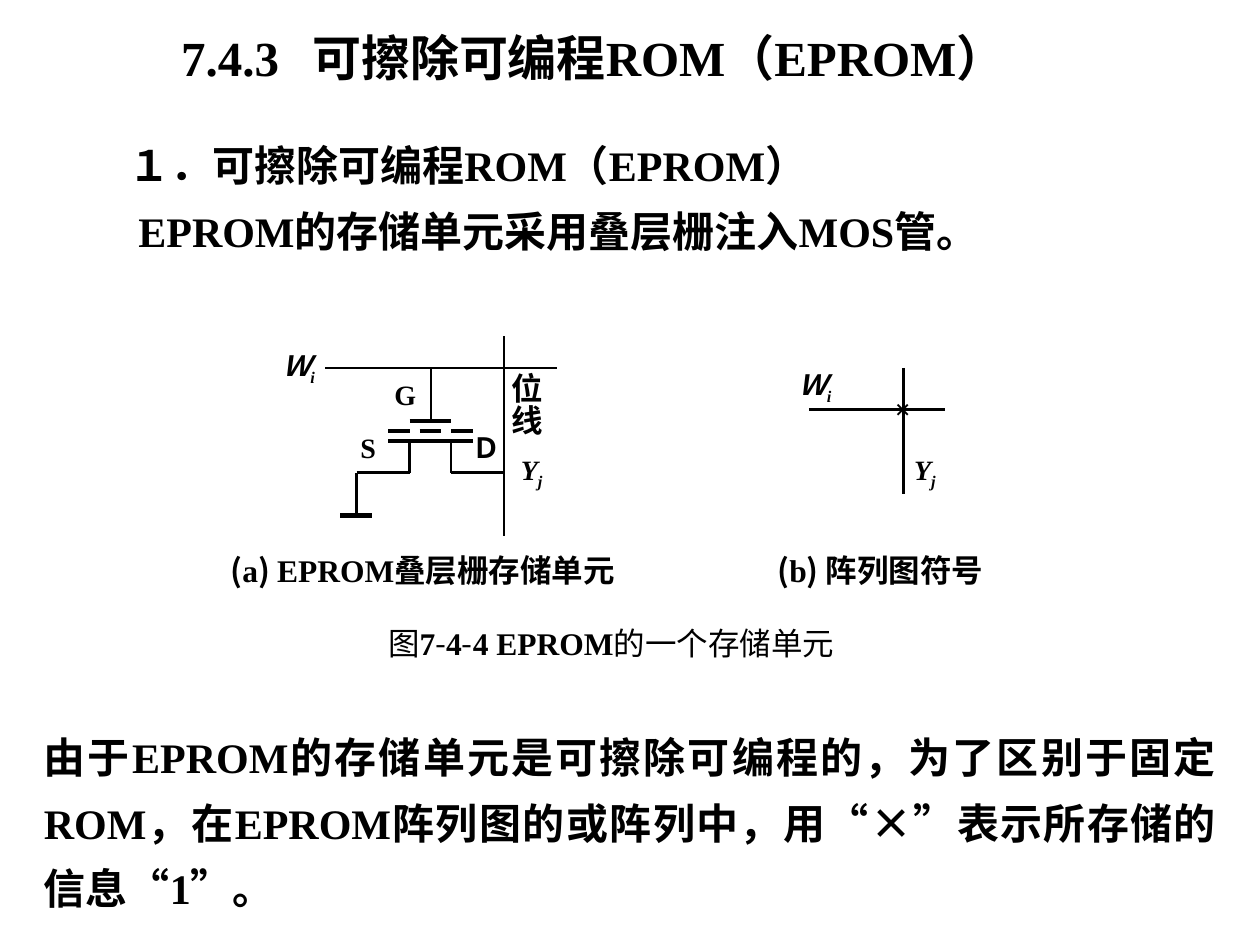
"""Build the slide that introduces the EPROM storage cell."""
from dataclasses import dataclass

import lxml.etree
import pptx
import pptx.dml.color
import pptx.enum.shapes
import pptx.enum.text
import pptx.oxml.ns
import pptx.util

Inches = pptx.util.Inches
Align = pptx.enum.text.PP_ALIGN


@dataclass(frozen=True)
class Theme:
    ink: pptx.dml.color.RGBColor = pptx.dml.color.RGBColor(0, 0, 0)
    serif: str = "Times New Roman"
    sans: str = "Noto Sans CJK SC"
    title: int = 28
    body: int = 24
    caption: int = 18
    label: int = 16
    thin: float = 1.5
    plate: float = 2
    ground: float = 3


class SlideBuilder:
    def __init__(self, slide, theme):
        self.theme = theme
        self.slide = slide
        self.shapes = slide.shapes

    def start_group(self):
        self.shapes = self.slide.shapes.add_group_shape().shapes

    def end_group(self):
        self.shapes = self.slide.shapes

    def add_child(self, parent, tag, **attributes):
        return lxml.etree.SubElement(parent, pptx.oxml.ns.qn(tag), **attributes)

    def text_box(self, left, top, width, height, inset=True, wrap=True):
        shape = self.shapes.add_textbox(Inches(left), Inches(top), Inches(width), Inches(height))
        frame = shape.text_frame
        frame.word_wrap = wrap
        frame.auto_size = pptx.enum.text.MSO_AUTO_SIZE.SHAPE_TO_FIT_TEXT
        if not inset:
            frame.margin_left = frame.margin_right = frame.margin_top = frame.margin_bottom = 0
        return frame

    def paragraph(self, frame, runs, size, bold=True, italic=False, align=Align.LEFT,
                  spacing=None, indent=0, tab=None):
        """Fill the first empty paragraph or append one; a run is (text, font, bold)."""
        paragraph = frame.paragraphs[0]
        if paragraph.runs:
            paragraph = frame.add_paragraph()
        paragraph.alignment = align
        if spacing:
            paragraph.line_spacing = spacing
        properties = paragraph._p.get_or_add_pPr()
        if indent:
            properties.set("marL", str(Inches(indent)))
            properties.set("indent", "0")
        if tab:
            tabs = self.add_child(properties, "a:tabLst")
            self.add_child(tabs, "a:tab", pos=str(Inches(tab)), algn="l")
        font = paragraph.font
        font.size = pptx.util.Pt(size)
        font.bold, font.italic = bold, italic
        font.color.rgb = self.theme.ink
        font.name = self.theme.serif
        self.add_child(properties.find(pptx.oxml.ns.qn("a:defRPr")), "a:ea", typeface=self.theme.sans)
        for text, name, *weight in runs:
            run = paragraph.add_run()
            run.text = text
            if name != self.theme.serif:
                run.font.name = name
            if weight:
                run.font.bold = weight[0]
        return paragraph

    def label(self, left, top, width, text):
        frame = self.text_box(left, top, width, 0.27, inset=False, wrap=False)
        self.paragraph(frame, [(text, self.theme.serif)], self.theme.label, align=Align.CENTER)

    def signal_label(self, left, top, width, text, subscript):
        frame = self.text_box(left, top, width, 0.3, inset=False, wrap=False)
        runs = [(text, self.theme.serif), (subscript, self.theme.serif)]
        paragraph = self.paragraph(frame, runs, self.theme.label, italic=True, align=Align.CENTER)
        paragraph.runs[1]._r.get_or_add_rPr().set("baseline", "-25000")

    def word_line_label(self, left, top):
        self.signal_label(left, top, 0.5, "Ｗ", "i")

    def bit_line_label(self, left, top):
        self.signal_label(left, top, 0.4, "Y", "j")

    def vertical_label(self, left, top, width, height, text):
        frame = self.text_box(left, top, width, height, inset=False, wrap=False)
        frame._txBody.bodyPr.set("vert", "eaVert")
        self.paragraph(frame, [(text, self.theme.sans)], self.theme.caption,
                       align=Align.CENTER, spacing=1.1)

    def caption(self, left, top, width, runs, bold=True):
        frame = self.text_box(left, top, width, 0.33, inset=False)
        self.paragraph(frame, runs, self.theme.caption, bold=bold, spacing=1.1)

    def line(self, start_x, start_y, end_x, end_y, weight):
        connector = self.shapes.add_connector(
            pptx.enum.shapes.MSO_CONNECTOR.STRAIGHT,
            Inches(start_x), Inches(start_y), Inches(end_x), Inches(end_y))
        connector.line.color.rgb = self.theme.ink
        connector.line.width = pptx.util.Pt(weight)
        self.add_child(connector._element.spPr, "a:effectLst")


def draw_cell(builder, theme):
    wires = [
        (2.58, 2.92, 4.42, 2.92), (3.42, 3.34, 3.42, 2.92), (4, 4.25, 4, 2.67),
        (3.25, 3.75, 3.25, 3.5), (3.58, 3.75, 3.58, 3.5),
        (3.58, 3.75, 4, 3.75), (2.83, 3.75, 3.25, 3.75), (2.83, 4.09, 2.83, 3.75),
    ]
    plates = [(3.25, 3.34, 3.58, 3.34), (3.08, 3.5, 3.75, 3.5)]
    plates += [(left, 3.42, left + 0.17, 3.42) for left in (3.08, 3.33, 3.58)]
    for wire in wires:
        builder.line(*wire, theme.thin)
    for plate in plates:
        builder.line(*plate, theme.plate)
    builder.line(2.7, 4.09, 2.95, 4.09, theme.ground)
    builder.word_line_label(2.12, 2.77)
    builder.bit_line_label(4.02, 3.59)
    builder.vertical_label(4.03, 2.96, 0.33, 0.5, "位线")
    builder.label(3.13, 3, 0.17, "G")
    builder.label(2.86, 3.42, 0.12, "S")
    builder.label(3.75, 3.42, 0.22, "Ｄ")


def draw_array_symbol(builder, theme):
    builder.line(6.42, 3.25, 7.5, 3.25, theme.thin)
    builder.line(7.17, 2.92, 7.17, 3.92, theme.thin)
    builder.word_line_label(6.22, 2.92)
    builder.bit_line_label(7.14, 3.59)
    builder.label(7.1, 3.11, 0.13, "×")


def main():
    theme = Theme()
    serif, sans = theme.serif, theme.sans
    presentation = pptx.Presentation()
    presentation.slide_width, presentation.slide_height = Inches(10), Inches(7.5)
    builder = SlideBuilder(presentation.slides.add_slide(presentation.slide_layouts[6]), theme)

    title = builder.text_box(1.34, 0.17, 7.33, 0.57, wrap=False)
    builder.paragraph(title, [("7.4.3\t", serif), ("可擦除可编程", sans), ("ROM（EPROM）", serif)],
                      theme.title, tab=1.04)

    introduction = builder.text_box(0.25, 0.94, 9.08, 1.14)
    builder.paragraph(introduction, [
        ("１．可擦除可编程", sans), ("ROM", serif), ("（", sans), ("EPROM", serif), ("）", sans),
    ], theme.body, spacing=1.3, indent=0.67)
    builder.paragraph(introduction, [
        ("EPROM", serif), ("的存储单元采用叠层栅注入", sans), ("MOS", serif), ("管。", sans),
    ], theme.body, spacing=1.3, indent=0.75)

    builder.start_group()
    draw_cell(builder, theme)
    draw_array_symbol(builder, theme)
    builder.caption(1.83, 4.34, 3.33, [
        ("(", sans), ("a", serif), (") ", sans), ("EPROM叠层栅", serif), ("存储单元", sans)])
    builder.caption(6.17, 4.34, 1.92, [
        ("(", sans), ("b", serif), (") ", sans), ("阵列图符号", serif)])
    builder.caption(3.08, 4.92, 3.83, [
        ("图", sans), ("7", serif, True), ("-", sans), ("4", serif, True), ("-", sans),
        ("4 EPROM", serif, True), ("的一个", serif), ("存储单元", sans)], bold=False)
    builder.end_group()

    explanation = builder.text_box(0.25, 5.64, 9.5, 1.66)
    builder.paragraph(explanation, [
        ("由于", sans), ("EPROM", serif), ("的存储单元是可擦除可编程的，为了区别于固定", sans),
        ("ROM，", serif), ("在", sans), ("EPROM", serif),
        ("阵列图的或阵列中，用“×”表示所存储的信息“", sans), ("1", serif), ("”。", sans),
    ], theme.body, align=Align.JUSTIFY, spacing=1.3)

    presentation.save("out.pptx")


if __name__ == "__main__":
    main()
